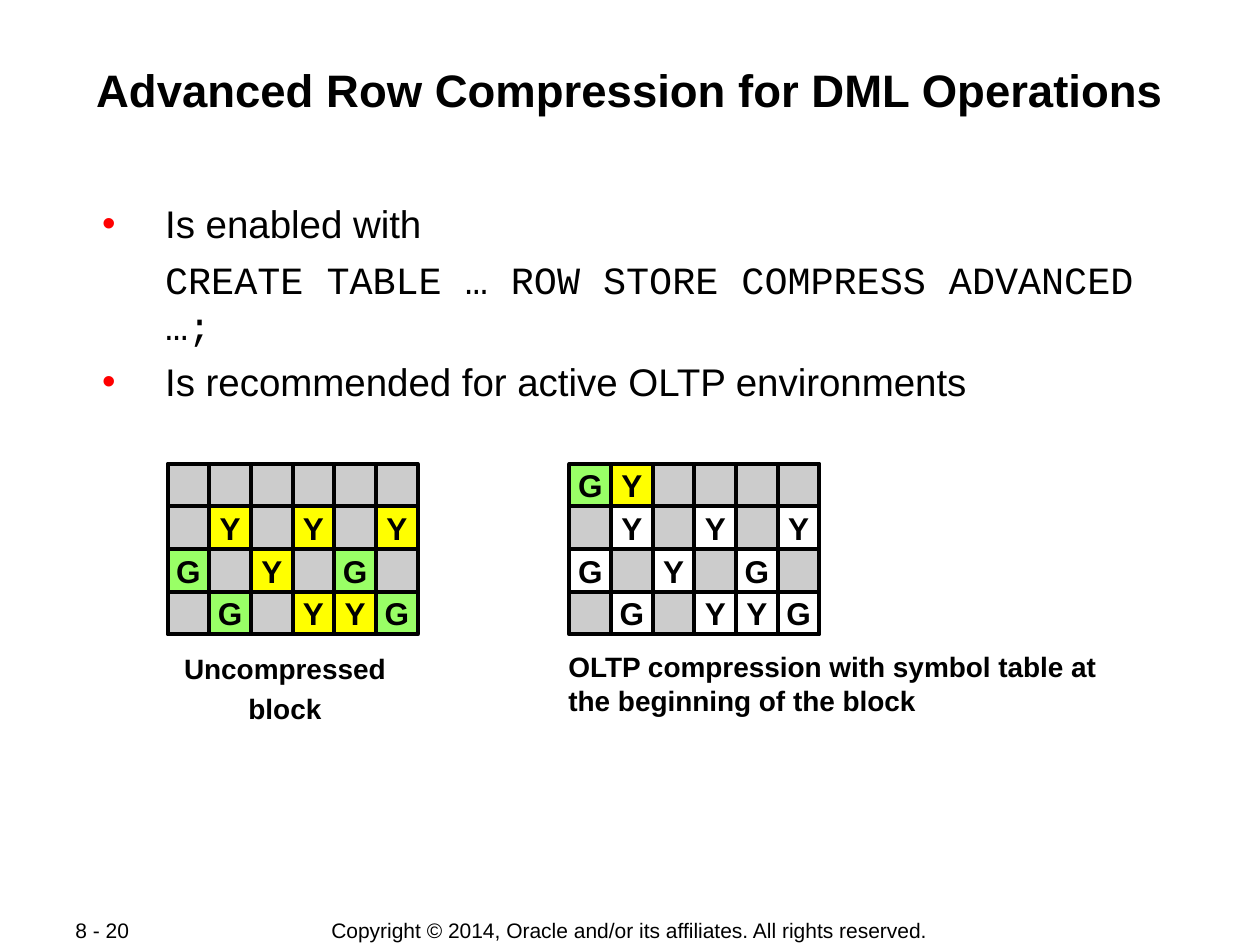
from dataclasses import dataclass

from lxml.etree import SubElement
from pptx import Presentation
from pptx.dml.color import RGBColor as Rgb
from pptx.enum.shapes import MSO_SHAPE as Preset
from pptx.enum.text import MSO_ANCHOR as Anchor, PP_ALIGN as Align
from pptx.oxml.ns import qn
from pptx.util import Cm, Pt


@dataclass(frozen=True)
class Theme:
    """Hold the fonts, colours and type sizes of the slide."""
    sans: str = "Arial"
    mono: str = "Courier New"
    ink: str = "000000"
    bullet: str = "FF0000"
    empty: str = "CCCCCC"
    plain: str = "FFFFFF"
    yellow: str = "FFFF00"
    green: str = "99FF66"
    title: int = 26
    body: int = 22
    cell: int = 18
    caption: int = 16
    footer: int = 12


THEME = Theme()
SYMBOL_FILLS = {"Y": THEME.yellow, "G": THEME.green}
DATA_ROWS = [".Y.Y.Y", "G.Y.G.", ".G.YYG"]
CELL_WIDTH, CELL_HEIGHT, GRID_TOP = 0.84, 0.86, 9.35


def add_span(para, text, size, font=THEME.sans, bold=False):
    """Add one formatted run to a paragraph."""
    span = para.add_run()
    span.text = text
    span.font.name = font
    span.font.size = Pt(size)
    span.font.bold = bold
    span.font.color.rgb = Rgb.from_string(THEME.ink)


def set_insets(frame, inset):
    """Set all inner margins of a text frame in centimetres."""
    frame.margin_left = frame.margin_right = Cm(inset)
    frame.margin_top = frame.margin_bottom = Cm(inset)


def add_box(page, left, top, width, height, wrap=True, anchor=Anchor.TOP):
    """Add an empty text box and return its text frame."""
    box = page.shapes.add_textbox(Cm(left), Cm(top), Cm(width), Cm(height))
    frame = box.text_frame
    frame.word_wrap = wrap
    frame.vertical_anchor = anchor
    return frame


def add_para(frame, index, space, align=Align.LEFT):
    """Return paragraph number index, spaced from the one before."""
    para = frame.add_paragraph() if index else frame.paragraphs[0]
    para.alignment = align
    if index:
        para.space_before = Pt(space)
    return para


def set_indent(para, bulleted):
    """Indent a body paragraph, with a hanging bullet if wanted."""
    props = para._p.get_or_add_pPr()
    props.set("marL", str(Cm(1.6)))
    props.set("indent", str(Cm(-1.27) if bulleted else 0))
    if bulleted:
        color = SubElement(props, qn("a:buClr"))
        SubElement(color, qn("a:srgbClr"), val=THEME.bullet)
        SubElement(props, qn("a:buFont"), typeface=THEME.sans)
        SubElement(props, qn("a:buChar"), char="•")
    else:
        SubElement(props, qn("a:buNone"))


def add_title(page, text):
    """Add the centred slide title."""
    frame = add_box(page, 1.7, 1.22, 22, 2.44)
    set_insets(frame, 0.03)
    add_span(add_para(frame, 0, 0, Align.CENTER), text, THEME.title, bold=True)


def add_body(page, items):
    """Add body text from pairs of text and code flag."""
    frame = add_box(page, 1.7, 4.01, 22, 4.22)
    set_insets(frame, 0.03)
    for index, (text, is_code) in enumerate(items):
        para = add_para(frame, index, 5.5)
        set_indent(para, not is_code)
        add_span(para, text, THEME.body, THEME.mono if is_code else THEME.sans)


def add_cell(page, left, top, symbol, fill):
    """Add one square of a data block, with its symbol if any."""
    cell = page.shapes.add_shape(
        Preset.RECTANGLE, Cm(left), Cm(top), Cm(CELL_WIDTH), Cm(CELL_HEIGHT))
    cell.shadow.inherit = False
    cell.fill.solid()
    cell.fill.fore_color.rgb = Rgb.from_string(fill)
    cell.line.color.rgb = Rgb.from_string(THEME.ink)
    cell.line.width = Pt(2.25)
    if symbol != ".":
        frame = cell.text_frame
        frame.word_wrap = False
        frame.vertical_anchor = Anchor.MIDDLE
        add_span(add_para(frame, 0, 0, Align.CENTER), symbol, THEME.cell, bold=True)


def add_block(page, left, rows, colored_rows):
    """Add a grid of cells whose symbols are coloured in the given rows."""
    for row, symbols in enumerate(rows):
        for column, symbol in enumerate(symbols):
            fill = THEME.empty
            if symbol != ".":
                fill = SYMBOL_FILLS[symbol] if row in colored_rows else THEME.plain
            add_cell(page, left + column * CELL_WIDTH,
                     GRID_TOP + row * CELL_HEIGHT, symbol, fill)


def add_caption(page, left, top, width, lines, align, wrap):
    """Add a bold caption under a block."""
    frame = add_box(page, left, top, width, 1.7, wrap)
    for index, line in enumerate(lines):
        add_span(add_para(frame, index, 4, align), line, THEME.caption, bold=True)


def add_footer(page, left, width, text, align):
    """Add one line of small text at the foot of the slide."""
    frame = add_box(page, left, 18.49, width, 0.52, False, Anchor.MIDDLE)
    add_span(add_para(frame, 0, 0, align), text, THEME.footer)


def main():
    """Build the slide and save the deck."""
    deck = Presentation()
    deck.slide_width, deck.slide_height = Cm(25.4), Cm(19.05)
    page = deck.slides.add_slide(deck.slide_layouts[6])
    add_footer(page, 6.19, 13,
               "Copyright © 2014, Oracle and/or its affiliates. All rights reserved.",
               Align.CENTER)
    add_footer(page, 1.27, 2.69, "8 - 20", Align.LEFT)
    add_title(page, "Advanced Row Compression for DML Operations")
    add_body(page, [
        ("Is enabled with", False),
        ("CREATE TABLE … ROW STORE COMPRESS ADVANCED …;", True),
        ("Is recommended for active OLTP environments", False),
    ])
    add_block(page, 3.38, ["......", *DATA_ROWS], {1, 2, 3})
    add_caption(page, 3.46, 13, 4.57, ["Uncompressed", "block"], Align.CENTER, False)
    add_block(page, 11.48, ["GY....", *DATA_ROWS], {0})
    add_caption(page, 11.21, 12.97, 12.06,
                ["OLTP compression with symbol table at the beginning of the block"],
                Align.LEFT, True)
    deck.save("out.pptx")


if __name__ == "__main__":
    main()
